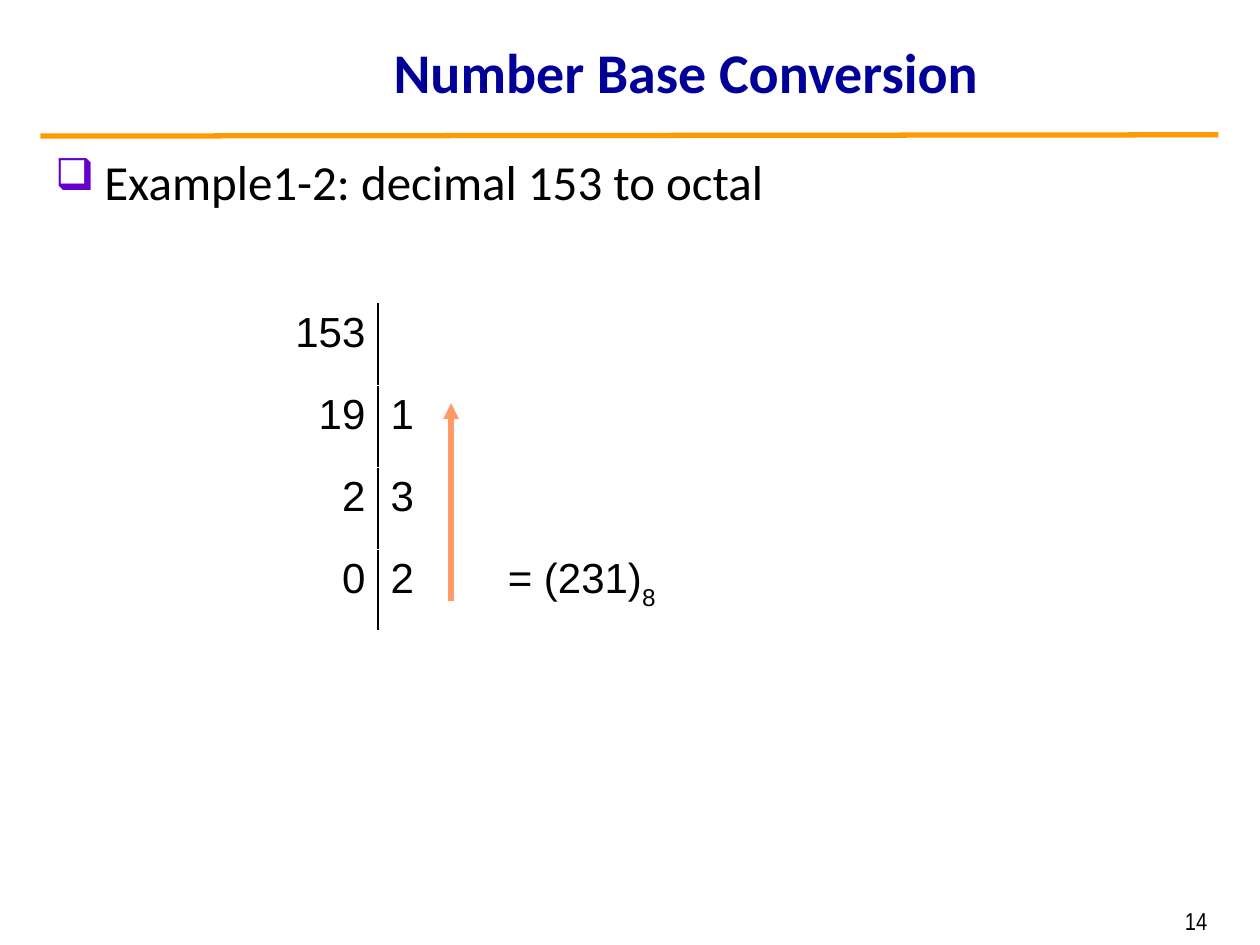
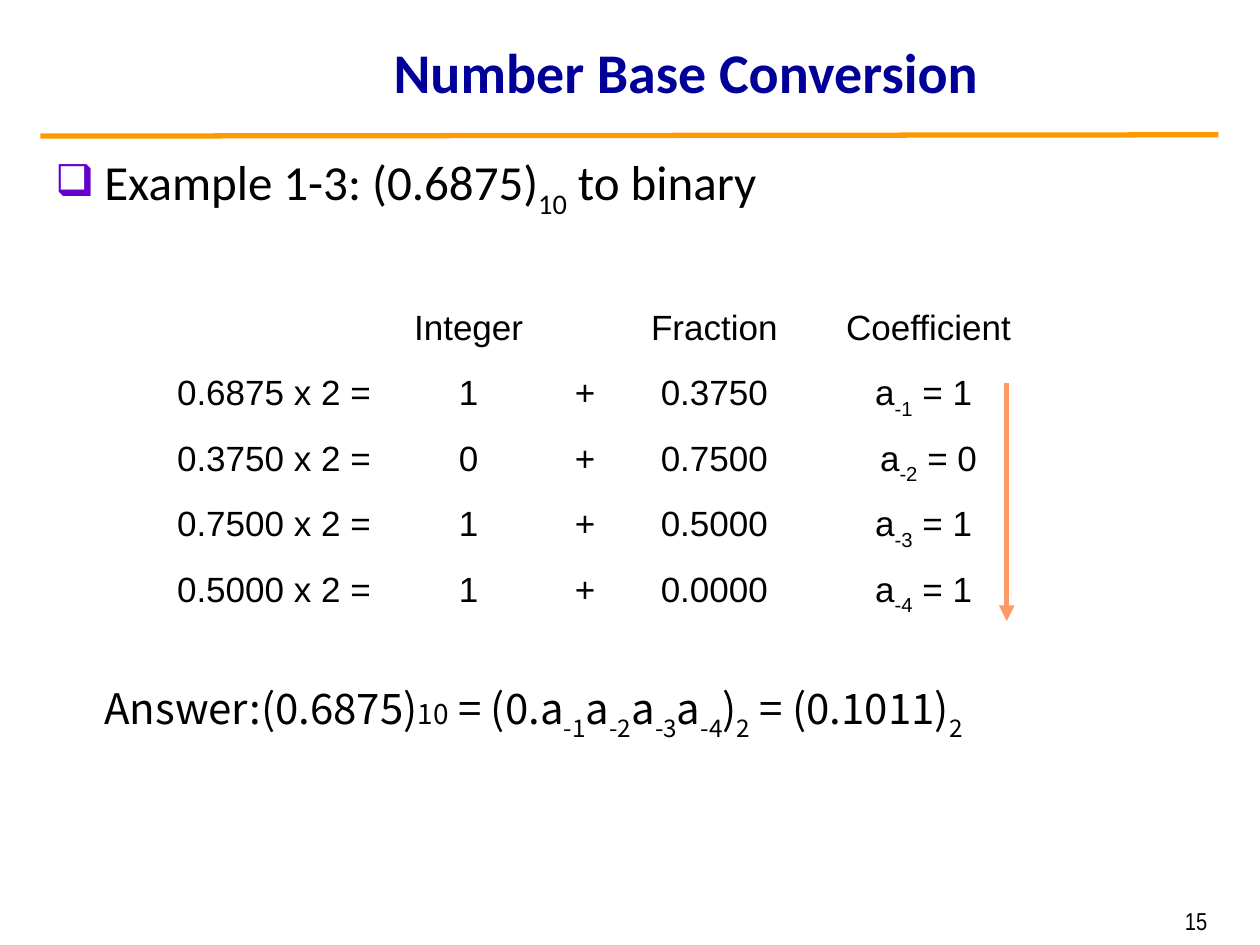
from lxml.etree import SubElement
from pptx import Presentation
from pptx.dml.color import RGBColor
from pptx.enum.shapes import MSO_CONNECTOR
from pptx.enum.text import MSO_ANCHOR, PP_ALIGN
from pptx.oxml import parse_xml
from pptx.oxml.ns import nsdecls, qn
from pptx.util import Inches, Pt

BLACK, NAVY, ORANGE, SALMON, PURPLE = "000000", "000099", "FF9900", "FF9966", "6600CC"


def color(value):
    """Turn a hex string into a colour."""
    return RGBColor.from_string(value)


class Deck:
    """Holds the shared style and the current slide."""

    def __init__(self):
        self.presentation = Presentation()
        self.presentation.slide_width = Inches(10)
        self.presentation.slide_height = Inches(7.5)
        self.slide = None

    def new_slide(self, title, number):
        """Start a slide with its title, rule and number."""
        self.slide = self.presentation.slides.add_slide(self.presentation.slide_layouts[6])
        self.line(0.32, 1.08, 9.67, 1.07, ORANGE)
        heading = self.text(1.22, 0.13, 8.45, 0.87, title, 32, "Calibri", NAVY,
                            PP_ALIGN.CENTER, MSO_ANCHOR.MIDDLE)
        heading.font.bold = True
        self.text(7.32, 7.14, 2.36, 0.31, number, 14, "Arial Narrow", align=PP_ALIGN.RIGHT)

    def fill_paragraph(self, paragraph, text, size, font, hue=BLACK, align=PP_ALIGN.LEFT):
        """Fill a paragraph; every second part between bars is a subscript."""
        for index, part in enumerate(text.split("|")):
            if part:
                run = paragraph.add_run()
                run.text = part
                if index % 2:
                    run._r.get_or_add_rPr().set("baseline", "-30000")
        paragraph.alignment = align
        paragraph.font.size = Pt(size)
        paragraph.font.name = font
        paragraph.font.color.rgb = color(hue)

    def text(self, left, top, width, height, text, size, font, hue=BLACK,
             align=PP_ALIGN.LEFT, anchor=MSO_ANCHOR.TOP):
        """Add a text box and return its paragraph."""
        frame = self.slide.shapes.add_textbox(
            Inches(left), Inches(top), Inches(width), Inches(height)).text_frame
        frame.word_wrap = True
        frame.vertical_anchor = anchor
        self.fill_paragraph(frame.paragraphs[0], text, size, font, hue, align)
        return frame.paragraphs[0]

    def example(self, text):
        """Add the bulleted statement of the example."""
        frame = self.slide.shapes.add_textbox(
            Inches(0.34), Inches(1.15), Inches(9.34), Inches(0.6)).text_frame
        frame.word_wrap = True
        statement = frame.paragraphs[0]
        properties = statement._p.get_or_add_pPr()
        properties.set("marL", str(Inches(0.39)))
        properties.set("indent", str(-Inches(0.39)))
        bullet_color = SubElement(properties, qn("a:buClr"))
        SubElement(bullet_color, qn("a:srgbClr")).set("val", PURPLE)
        SubElement(properties, qn("a:buSzPct")).set("val", "90000")
        SubElement(properties, qn("a:buChar")).set("char", "❑")
        self.fill_paragraph(statement, text, 28, "Calibri")

    def line(self, x1, y1, x2, y2, hue, arrow=False):
        """Add a straight line, with an arrowhead at its end if asked."""
        connector = self.slide.shapes.add_connector(
            MSO_CONNECTOR.STRAIGHT, Inches(x1), Inches(y1), Inches(x2), Inches(y2))
        connector.line.color.rgb = color(hue)
        connector.line.width = Pt(3)
        properties = connector._element.spPr
        if arrow:
            SubElement(properties.find(qn("a:ln")), qn("a:tailEnd")).set("type", "triangle")
        SubElement(properties, qn("a:effectLst"))

    def table(self, left, top, widths, row_height, rows, size, aligns):
        """Add a plain table and return it."""
        grid = self.slide.shapes.add_table(
            len(rows), len(widths), Inches(left), Inches(top),
            Inches(sum(widths)), Inches(row_height * len(rows))).table
        grid.first_row = grid.horz_banding = False
        for column, width in zip(grid.columns, widths):
            column.width = Inches(width)
        for r, row in enumerate(rows):
            for c, text in enumerate(row):
                cell = grid.cell(r, c)
                cell.fill.background()
                self.fill_paragraph(cell.text_frame.paragraphs[0], text, size, "Arial",
                                    align=aligns[c])
        return grid

    def divide(self, grid):
        """Draw the border between the first two columns."""
        for row in grid.rows:
            for cell, side in zip(row.cells, ("lnR", "lnL")):
                border = parse_xml(
                    f'<a:{side} {nsdecls("a")} w="{Pt(1)}"><a:solidFill>'
                    f'<a:srgbClr val="{BLACK}"/></a:solidFill></a:{side}>')
                cell._tc.get_or_add_tcPr().insert(0, border)

    def tab_stop(self, paragraph, position):
        """Set a left tab stop ahead of the font defaults."""
        tabs = parse_xml(f'<a:tabLst {nsdecls("a")}>'
                         f'<a:tab pos="{Inches(position)}" algn="l"/></a:tabLst>')
        paragraph._p.get_or_add_pPr().insert(0, tabs)


def main():
    """Build both conversion examples."""
    deck = Deck()

    deck.new_slide("Number Base Conversion", "14")
    deck.example("Example1-2: decimal 153 to octal")
    division = deck.table(
        1.85, 2.41, [1.15, 2.78], 0.65,
        [("153", ""), ("19", "1"), ("2", "3"), ("0", "2\t= (231)|8")],
        24, [PP_ALIGN.RIGHT, PP_ALIGN.LEFT])
    deck.divide(division)
    deck.tab_stop(division.cell(3, 1).text_frame.paragraphs[0], 0.93)
    deck.line(3.58, 4.77, 3.58, 3.2, SALMON, arrow=True)

    deck.new_slide("Number Base Conversion", "15")
    deck.example("Example 1-3: (0.6875)|10| to binary")
    steps = [("0.6875", "1", "0.3750", "a|-1| = 1 "),
             ("0.3750", "0", "0.7500", "a|-2| = 0"),
             ("0.7500", "1", "0.5000", "a|-3| = 1 "),
             ("0.5000", "1", "0.0000", "a|-4| = 1 ")]
    rows = [("", "Integer", "", "Fraction", "Coefficient")]
    rows += [(f"{value} x 2 =", integer, "+", fraction, coefficient)
             for value, integer, fraction, coefficient in steps]
    deck.table(1.3, 2.4, [1.75, 1.34, 0.51, 1.54, 1.86], 0.52, rows, 20, [PP_ALIGN.CENTER] * 5)
    answer = deck.text(
        0.73, 5.37, 8.95, 0.6,
        "Answer:(0.6875)|10| = (0.a|-1|a|-2|a|-3|a|-4|)|2| = (0.1011)|2",
        24, "Noto Sans CJK KR")
    source_base = answer.runs[1]
    source_base._r.get_or_add_rPr().set("baseline", "0")
    source_base.font.size = Pt(16)
    deck.line(7.99, 3.04, 7.99, 4.93, SALMON, arrow=True)

    deck.presentation.save("out.pptx")


if __name__ == "__main__":
    main()
